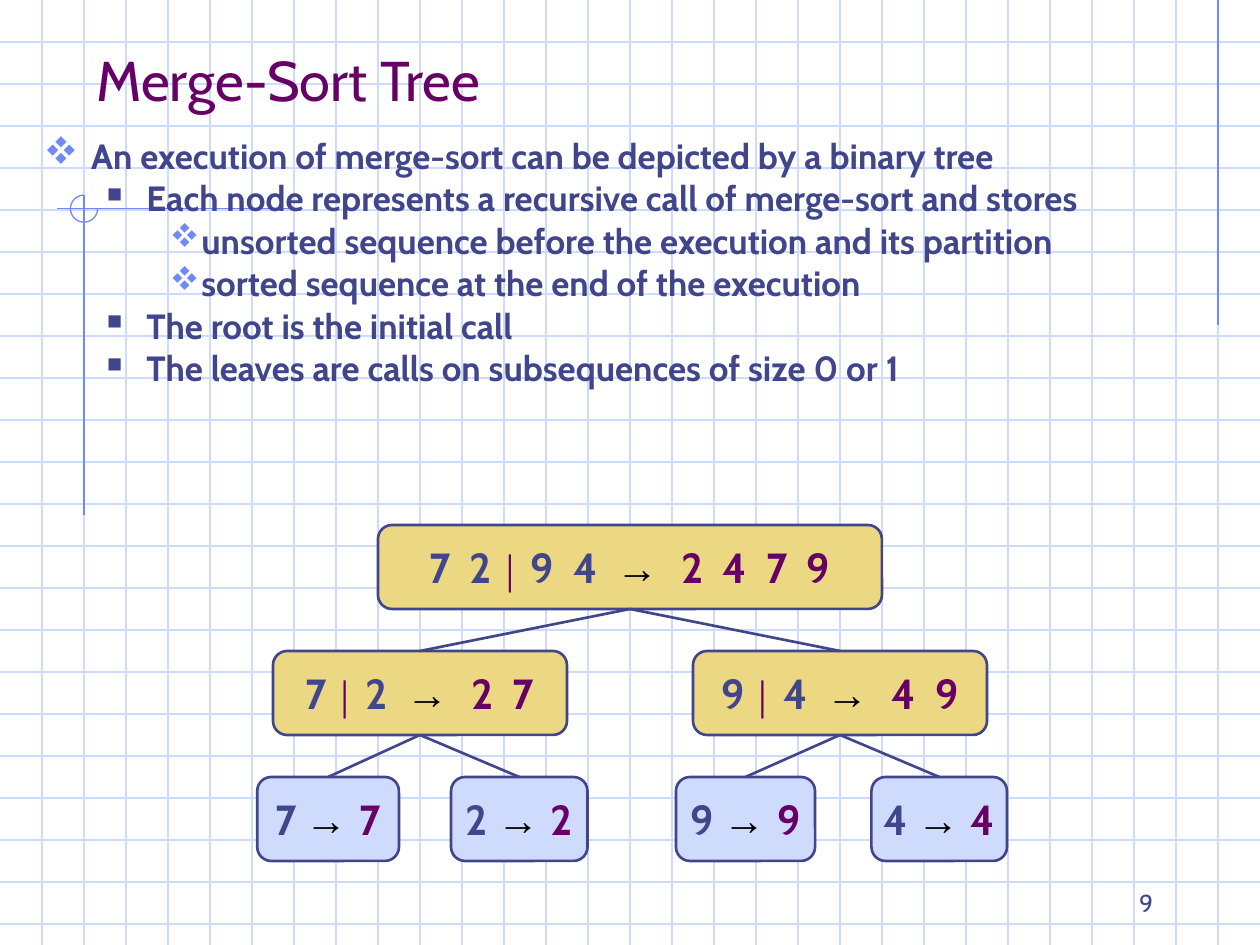
from dataclasses import dataclass

from lxml.etree import SubElement
from pptx import Presentation
from pptx.dml.color import RGBColor
from pptx.enum.shapes import MSO_CONNECTOR as Connector, MSO_SHAPE as Shape
from pptx.enum.text import MSO_ANCHOR as Anchor, PP_ALIGN as Align
from pptx.oxml.ns import qn
from pptx.util import Pt

COLORS = {
    "grid": "CFDBFD",
    "accent": "6F89F7",
    "ink": "40458C",
    "plum": "660066",
    "gold": "ECD882",
    "leaf": "CFDBFD",
    "black": "000000",
}
WIDTH, HEIGHT, STEP = 720, 540, 24
NODE_HEIGHT = 48
BULLET_FONT, DIAMOND, SQUARE = "Wingdings", "v", "n"


@dataclass(frozen=True)
class Level:
    margin: float
    indent: float
    bullet: str
    bullet_color: str
    bullet_percent: int


@dataclass(frozen=True)
class Node:
    left: float
    top: float
    width: float
    before: tuple[str, ...]
    after: str
    parent: int | None = None


LEVELS = (
    Level(27, -27, DIAMOND, "accent", 110),
    Level(58.5, -22.5, SQUARE, "ink", 60),
    Level(90, -18, DIAMOND, "accent", 95),
)
POINTS = (
    (0, "An execution of merge-sort can be depicted by a binary tree"),
    (1, "Each node represents a recursive call of merge-sort and stores"),
    (2, "unsorted sequence before the execution and its partition"),
    (2, "sorted sequence at the end of the execution"),
    (1, "The root is the initial call"),
    (1, "The leaves are calls on subsequences of size 0 or 1"),
)
NODES = (
    Node(216, 300, 288, ("7  2", "9  4"), "2  4  7  9"),
    Node(156, 372, 168, ("7", "2"), "2  7", 0),
    Node(396, 372, 168, ("9", "4"), "4  9", 0),
    Node(147, 444, 81, ("7",), "7", 1),
    Node(257.75, 444, 78, ("2",), "2", 1),
    Node(386.25, 444, 79.5, ("9",), "9", 2),
    Node(498, 444, 77.5, ("4",), "4", 2),
)


def rgb(name: str) -> RGBColor:
    """Return the named colour."""
    return RGBColor.from_string(COLORS[name])


def style(font, size: float, color: str, name: str = "Cabin", bold: bool = False) -> None:
    """Set the size, colour, face and weight of a font."""
    font.size, font.name, font.bold = Pt(size), name, bold
    font.color.rgb = rgb(color)


def add_line(page, start: tuple, end: tuple, color: str, weight: float = 0.75):
    """Draw a straight line without a shadow."""
    line = page.shapes.add_connector(Connector.STRAIGHT, *map(Pt, start + end))
    line.line.color.rgb, line.line.width = rgb(color), Pt(weight)
    SubElement(line._element.spPr, qn("a:effectLst"))
    return line


def add_backdrop(page) -> None:
    """Draw the grid and the corner ornaments."""
    for y in range(STEP, HEIGHT, STEP):
        add_line(page, (0, y), (WIDTH, y), "grid")
    for x in range(STEP, WIDTH, STEP):
        add_line(page, (x, 0), (x, HEIGHT), "grid")
    add_line(page, (696, 0), (696, 186), "accent")
    add_line(page, (173, 119.25), (32.5, 119.25), "accent")
    add_line(page, (48, 111.5), (48, 294.5), "accent")
    arc = page.shapes.add_shape(Shape.ARC, Pt(40.25), Pt(111.5), Pt(15.5), Pt(15.5))
    arc.adjustments[0], arc.adjustments[1] = 0, 162
    arc.shadow.inherit = False
    arc.fill.background()
    arc.line.color.rgb, arc.line.width = rgb("accent"), Pt(0.75)


def add_text_box(page, left: float, top: float, width: float, height: float, anchor):
    """Add a wrapping text box and return its text frame."""
    frame = page.shapes.add_textbox(*map(Pt, (left, top, width, height))).text_frame
    frame.word_wrap, frame.vertical_anchor = True, anchor
    return frame


def add_label(page, box: tuple, text: str, size: float, color: str, align) -> None:
    """Add a single line of text at the bottom of a box."""
    para = add_text_box(page, *box, Anchor.BOTTOM).paragraphs[0]
    para.text, para.alignment = text, align
    style(para.font, size, color)


def set_bullet(para, level: Level) -> None:
    """Give a paragraph the indent and bullet of its level."""
    props = para._p.get_or_add_pPr()
    props.set("marL", str(Pt(level.margin)))
    props.set("indent", str(Pt(level.indent)))
    color = SubElement(props, qn("a:buClr"))
    SubElement(color, qn("a:srgbClr"), val=COLORS[level.bullet_color])
    SubElement(props, qn("a:buSzPct"), val=str(level.bullet_percent * 1000))
    SubElement(props, qn("a:buFont"), typeface=BULLET_FONT, pitchFamily="2", charset="2")
    SubElement(props, qn("a:buChar"), char=level.bullet)


def add_points(page) -> None:
    """Add the bulleted list."""
    frame = add_text_box(page, 18, 78, 660, 210, Anchor.TOP)
    for index, (depth, text) in enumerate(POINTS):
        para = frame.add_paragraph() if index else frame.paragraphs[0]
        para.text, para.level, para.line_spacing = text, depth, 0.8
        para.space_before = Pt(5 if index else 0)
        set_bullet(para, LEVELS[depth])
        style(para.font, 20, "ink", bold=True)


def add_node(page, node: Node):
    """Draw one call of the tree with its input and sorted output."""
    box = page.shapes.add_shape(
        Shape.ROUNDED_RECTANGLE, *map(Pt, (node.left, node.top, node.width, NODE_HEIGHT))
    )
    divided = len(node.before) > 1
    gap = "  " if divided else " "
    box.shadow.inherit = False
    box.fill.solid()
    box.fill.fore_color.rgb = rgb("gold" if divided else "leaf")
    box.line.color.rgb, box.line.width = rgb("ink"), Pt(1.5)
    frame = box.text_frame
    frame.word_wrap, frame.vertical_anchor = False, Anchor.MIDDLE
    para = frame.paragraphs[0]
    para.alignment = Align.CENTER
    spans = [(f"{node.before[0]} ", 24, "ink", "Cabin")]
    if divided:
        spans += [
            ("│", 18, "plum", "Arial"),
            (f" {node.before[1]}{gap}", 24, "ink", "Cabin"),
        ]
    spans += [(f"→{gap}", 24, "black", "Arial"), (node.after, 24, "plum", "Cabin")]
    for text, size, color, face in spans:
        span = para.add_run()
        span.text = text
        style(span.font, size, color, face, bold=True)
    return box


def add_tree(page) -> None:
    """Draw the nodes and join each one to its parent."""
    boxes = [add_node(page, node) for node in NODES]
    for node, box in zip(NODES, boxes):
        if node.parent is not None:
            edge = add_line(page, (0, 0), (0, 0), "ink", 1.5)
            edge.begin_connect(boxes[node.parent], 2)
            edge.end_connect(box, 0)


def main() -> None:
    """Build the slide and save the deck."""
    deck = Presentation()
    deck.slide_width, deck.slide_height = Pt(WIDTH), Pt(HEIGHT)
    page = deck.slides.add_slide(deck.slide_layouts[6])
    add_backdrop(page)
    add_label(page, (48, 24, 612, 44), "Merge-Sort Tree", 32, "plum", Align.LEFT)
    add_points(page)
    add_tree(page)
    add_label(page, (516, 492, 150, 36), "9", 14, "ink", Align.RIGHT)
    deck.save("out.pptx")


if __name__ == "__main__":
    main()
